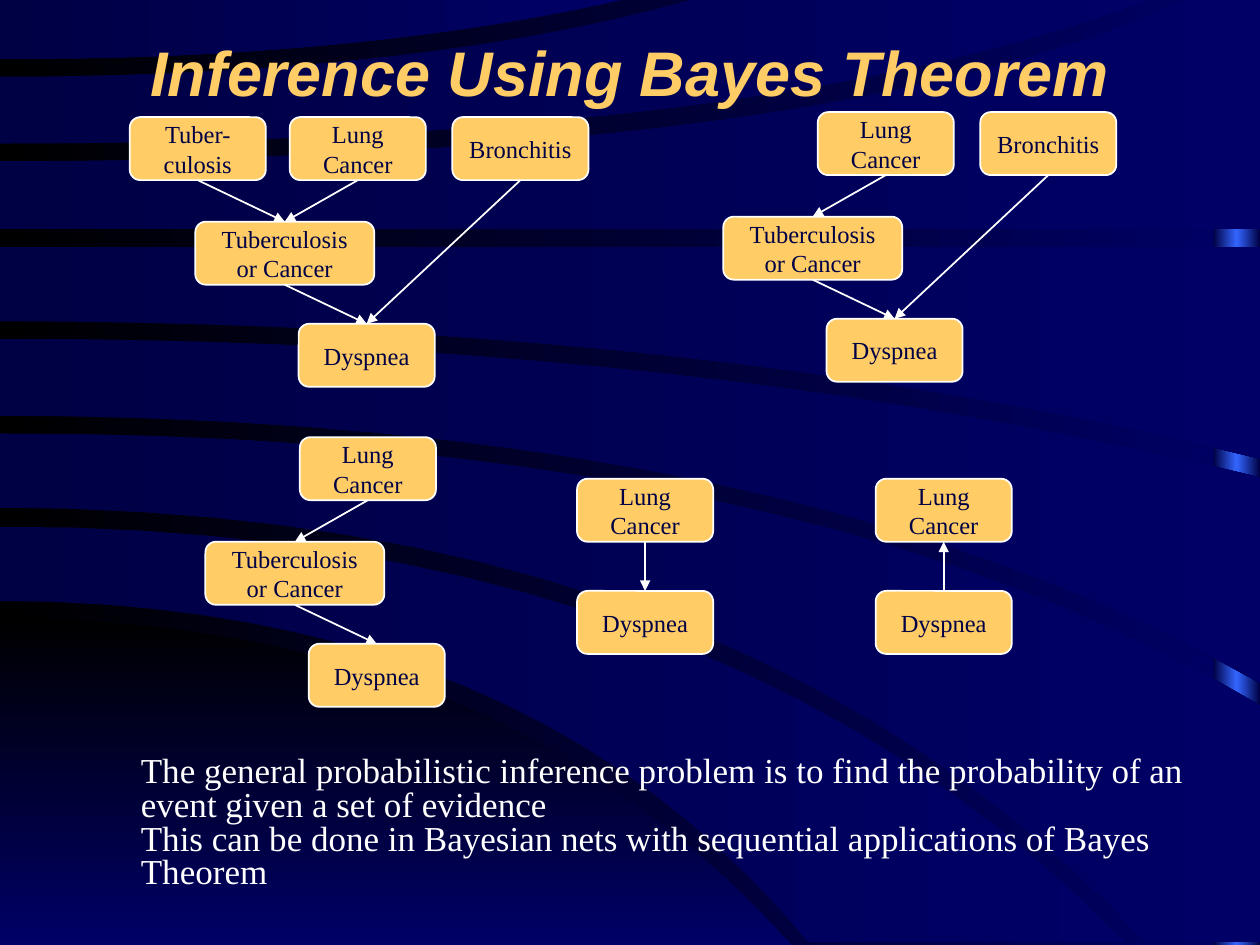
from lxml.etree import SubElement
from pptx import Presentation
from pptx.dml.color import RGBColor
from pptx.enum.shapes import MSO_CONNECTOR, MSO_SHAPE
from pptx.enum.text import MSO_ANCHOR, PP_ALIGN
from pptx.oxml.ns import qn
from pptx.util import Inches, Pt

NAVY, BLUE, GOLD, WHITE, BLACK = "000044", "000066", "FFCC66", "FFFFFF", "000000"
BRIGHT = "3366FF"
NODE_H = 0.5
CURVE_STEPS = 20

# Band edges leave the left side level: start y, bend x, end x, end y
GROUND = ((4.91, 3.98, 6.28, 7.5), (7.5, 3, 6.28, 7.5))
BANDS = [  # upper edge, lower edge
    ((4.18, 5.72, 8.93, 7.48), (4.77, 4.19, 6.42, 7.48)),
    ((3.44, 6.4, 10, 5.6), (4.03, 5.88, 9.09, 7.48)),
    ((2.69, 5.54, 10, 3.79), (3.3, 6.28, 10, 5.42)),
    ((1.96, 5, 10, 1.96), (2.55, 5.62, 10, 3.64)),
    ((1.28, 6.72, 9.43, -0.02), (1.82, 5, 10, 1.82)),
    ((0.61, 3.38, 5.56, -0.02), (1.14, 6.16, 9.17, -0.02)),
    ((-0.02, 2.5, 5.01, -0.02), (0.47, 2.9, 5.01, -0.02)),
]

# Nodes of the full network: label, x, y from the network's corner, width
NODES = {
    "tb": ("Tuber-\nculosis", 0, 0, 1.08),
    "cancer": ("Lung\nCancer", 1.27, 0, 1.08),
    "bronchitis": ("Bronchitis", 2.56, 0, 1.08),
    "either": ("Tuberculosis\nor Cancer", 0.52, 0.83, 1.42),
    "dyspnea": ("Dyspnea", 1.34, 1.64, 1.08),
}
EDGES = [("tb", "either"), ("cancer", "either"),
         ("either", "dyspnea"), ("bronchitis", "dyspnea")]


def rgb(color):
    return RGBColor.from_string(color)


def curve(start_y, bend_x, end_x, end_y):
    """Points of a quadratic curve that starts level at the left side."""
    steps = [i / CURVE_STEPS for i in range(CURVE_STEPS + 1)]
    return [(2 * t * (1 - t) * bend_x + t * t * end_x,
             start_y + t * t * (end_y - start_y)) for t in steps]


class Deck:
    def __init__(self):
        self.prs = Presentation()
        self.prs.slide_width, self.prs.slide_height = Inches(10), Inches(7.5)
        self.s = self.prs.slides.add_slide(self.prs.slide_layouts[5])

    def gradient(self, fill, first, last, angle=0):
        fill.gradient()
        fill.gradient_angle = angle
        for stop, color, position in zip(fill.gradient_stops, (first, last), (0, 1)):
            stop.color.rgb = rgb(color)
            stop.position = position

    def plain(self, sp):
        sp.shadow.inherit = False
        sp.line.fill.background()

    def strip(self, x, width, first, last):
        sp = self.s.shapes.add_shape(
            MSO_SHAPE.RECTANGLE, Inches(x), 0, Inches(width), Inches(7.5))
        self.plain(sp)
        self.gradient(sp.fill, first, last)

    def band(self, upper, lower, first, last, angle=0):
        # The corner continues the shorter edge to the end of the longer one
        shorter, longer = sorted((upper[2:], lower[2:]))
        points = curve(*upper) + [(longer[0], shorter[1])] + curve(*lower)[::-1]
        start, *rest = [(Inches(x), Inches(y)) for x, y in points]
        builder = self.s.shapes.build_freeform(*start)
        builder.add_line_segments(rest, close=True)
        sp = builder.convert_to_shape()
        self.plain(sp)
        self.gradient(sp.fill, first, last, angle)

    def style(self, tf, size, font, color, align, spacing=None):
        for p in tf.paragraphs:
            p.alignment, p.line_spacing = align, spacing
            p.font.size, p.font.name = Pt(size), font
            p.font.color.rgb = rgb(color)

    def title(self, text, x, y, w, h):
        sp = self.s.shapes.title
        self.s.shapes._spTree.append(sp._element)  # in front of the bands
        sp.left, sp.top, sp.width, sp.height = map(Inches, (x, y, w, h))
        tf = sp.text_frame
        tf.text, tf.vertical_anchor = text, MSO_ANCHOR.MIDDLE
        self.style(tf, 36, "Arial", GOLD, PP_ALIGN.CENTER)
        tf.paragraphs[0].font.bold = tf.paragraphs[0].font.italic = True

    def node(self, text, x, y, w):
        sp = self.s.shapes.add_shape(
            MSO_SHAPE.ROUNDED_RECTANGLE, *map(Inches, (x, y, w, NODE_H)))
        sp.shadow.inherit = False
        sp.fill.solid()
        sp.fill.fore_color.rgb = rgb(GOLD)
        sp.line.color.rgb, sp.line.width = rgb(WHITE), Pt(1)
        tf = sp.text_frame
        tf.text, tf.word_wrap, tf.vertical_anchor = text, False, MSO_ANCHOR.MIDDLE
        self.style(tf, 14, "Times New Roman", NAVY, PP_ALIGN.CENTER)
        return sp

    def arrow(self, start, end, up=False):
        c = self.s.shapes.add_connector(MSO_CONNECTOR.STRAIGHT, 0, 0, 0, 0)
        c.begin_connect(start, 0 if up else 2)
        c.end_connect(end, 2 if up else 0)
        c.line.color.rgb, c.line.width = rgb(WHITE), Pt(1)
        SubElement(c.line._get_or_add_ln(), qn("a:tailEnd"), type="triangle")
        SubElement(c._element.spPr, qn("a:effectLst"))

    def network(self, x, y, names):
        nodes = {}
        for name in names:
            text, dx, dy, w = NODES[name]
            nodes[name] = self.node(text, x + dx, y + dy, w)
        for a, b in EDGES:
            if a in nodes and b in nodes:
                self.arrow(nodes[a], nodes[b])

    def text(self, text, x, y, w, h):
        tf = self.s.shapes.add_textbox(*map(Inches, (x, y, w, h))).text_frame
        tf.text, tf.word_wrap = text, True
        self.style(tf, 20, "Times New Roman", WHITE, PP_ALIGN.LEFT, 0.8)


def main():
    d = Deck()

    # Background
    d.gradient(d.s.background.fill, BLACK, BLUE)
    d.strip(9.63, 0.185, NAVY, BRIGHT)
    d.strip(9.815, 0.185, BRIGHT, NAVY)
    d.band(*GROUND, BLACK, BLUE, 270)
    for upper, lower in BANDS:
        d.band(upper, lower, NAVY, BLUE)

    d.title("Inference Using Bayes Theorem", 0.75, 0.19, 8.5, 0.75)

    # Full network, then the networks with nodes removed
    d.network(1.03, 0.93, ["tb", "cancer", "bronchitis", "either", "dyspnea"])
    d.network(5.22, 0.89, ["cancer", "bronchitis", "either", "dyspnea"])
    d.network(1.11, 3.47, ["cancer", "either", "dyspnea"])

    # Two-node networks, the last with its arrow reversed
    for x, up in ((4.58, False), (6.95, True)):
        cancer = d.node("Lung\nCancer", x, 3.8, 1.08)
        dyspnea = d.node("Dyspnea", x, 4.69, 1.08)
        d.arrow(*((dyspnea, cancer) if up else (cancer, dyspnea)), up)

    # Conclusion
    d.text("The general probabilistic inference problem is to find the probability "
           "of an event given a set of evidence\n"
           "This can be done in Bayesian nets with sequential applications of "
           "Bayes Theorem", 1.02, 5.96, 8.5, 0.83)

    d.prs.save("out.pptx")


if __name__ == "__main__":
    main()
